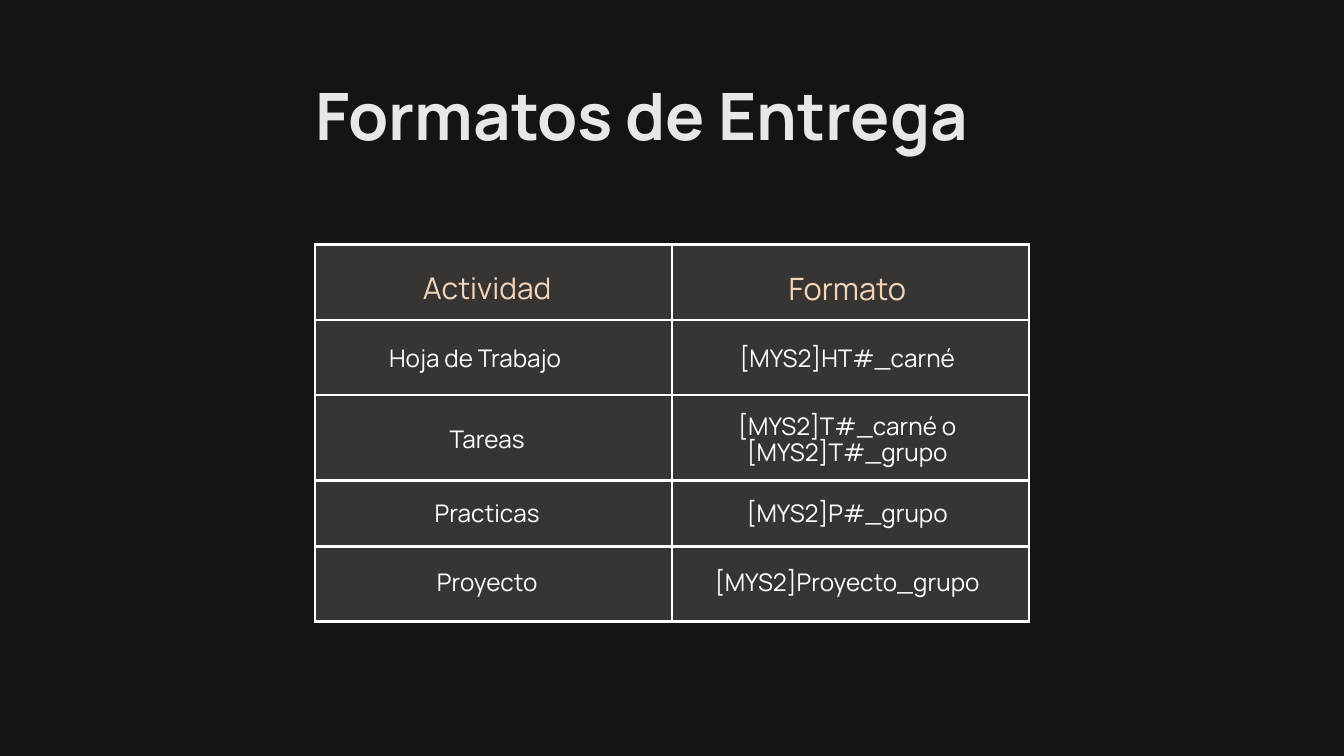
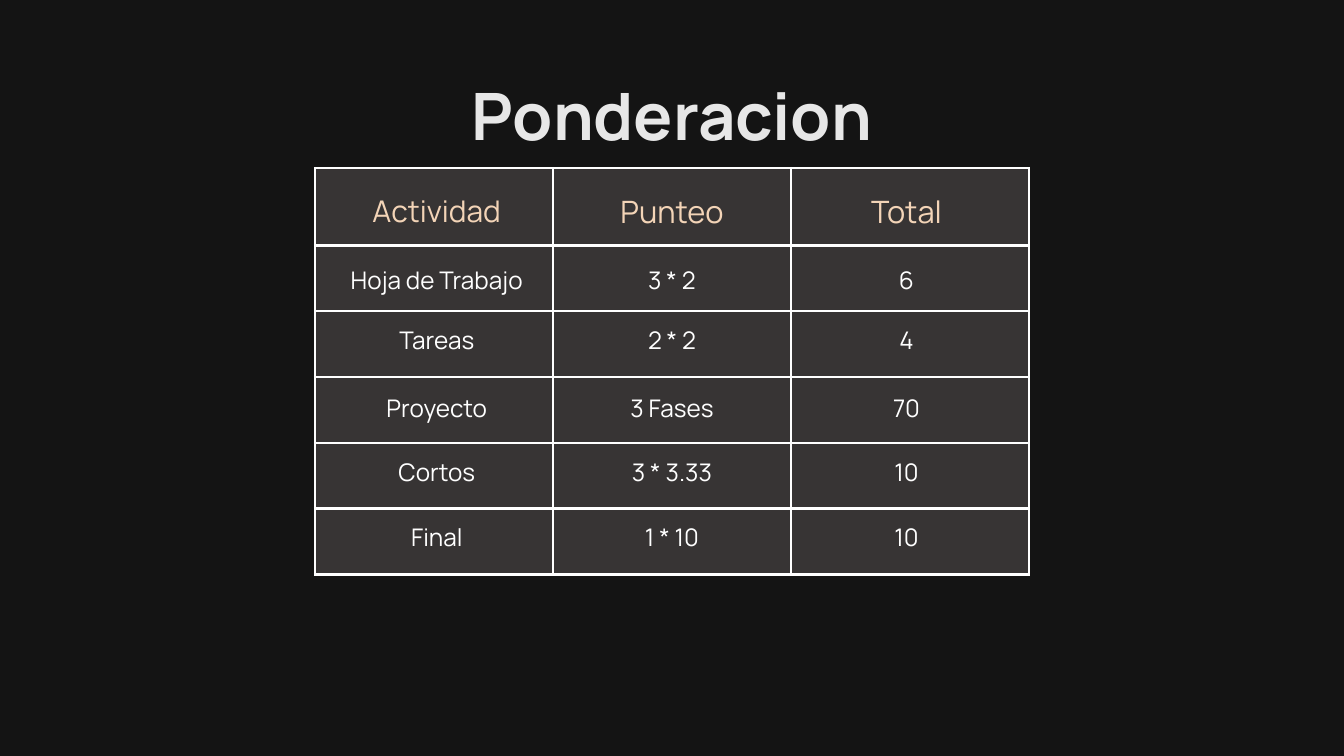
import pptx
import pptx.util
import pptx.dml.color
import pptx.enum.text
import pptx.oxml
import pptx.oxml.ns

Inches, Pt = pptx.util.Inches, pptx.util.Pt
Align = pptx.enum.text.PP_ALIGN
COLORS = {"back": "141414", "cell": "373434", "title": "E7E7E7", "head": "F3D4B7", "body": "FFFFFF"}
LEFT, WIDTH = 4.69, 10.62

SLIDES = [
    {
        "title": "Formatos de Entrega", "align": Align.LEFT,
        "top": 3.64, "rows": [1.12, 1.12, 1.27, 0.98, 1.12],
        "cols": [(7.25, 2.92), (12.61, 3.66)],
        "lines": [3.92, 5.14, 6.35, 7.45, 8.47],
        "text": [
            ["Actividad", "Formato"],
            ["Hoja de Trabajo", "[MYS2]HT#_carné"],
            ["Tareas", "[MYS2]T#_carné o\n[MYS2]T#_grupo"],
            ["Practicas", "[MYS2]P#_grupo"],
            ["Proyecto", "[MYS2]Proyecto_grupo"],
        ],
        "left": ["Hoja de Trabajo"],
    },
    {
        "title": "Ponderacion", "align": Align.CENTER,
        "top": 2.5, "rows": [1.15] + [0.98] * 5,
        "cols": [(6.5, 2.92), (10, 2.92), (13.49, 2.92)],
        "lines": [2.78, 3.99, 4.88, 5.89, 6.84, 7.8],
        "text": [
            ["Actividad", "Punteo", "Total"],
            ["Hoja de Trabajo", "3 * 2", "6"],
            ["Tareas", "2 * 2", "4"],
            ["Proyecto", "3 Fases", "70"],
            ["Cortos", "3 * 3.33", "10"],
            ["Final", "1 * 10", "10"],
        ],
        "left": [],
    },
]


def paint(fill, name):
    fill.solid()
    fill.fore_color.rgb = pptx.dml.color.RGBColor.from_string(COLORS[name])


def write(shape, text, box, size, color, space, align=Align.CENTER, bold=False):
    shape.left, shape.top, shape.width, shape.height = map(Inches, box)
    frame = shape.text_frame
    frame.margin_left = frame.margin_top = frame.margin_right = frame.margin_bottom = 0
    frame.word_wrap = True
    frame.auto_size = pptx.enum.text.MSO_AUTO_SIZE.SHAPE_TO_FIT_TEXT
    frame.vertical_anchor = pptx.enum.text.MSO_ANCHOR.TOP
    frame.text = text
    for para in frame.paragraphs:
        para.alignment = align
        para.line_spacing = Pt(space)
        para.space_before = Pt(0)
        para.font.name = "Manrope"
        para.font.size = Pt(size)
        para.font.bold = bold
        paint(para.font.fill, color)


deck = pptx.Presentation()
deck.slide_width, deck.slide_height = Inches(20), Inches(11.25)
paint(deck.slide_master.background.fill, "back")

for page in SLIDES:
    slide = deck.slides.add_slide(deck.slide_layouts[5])
    write(slide.shapes.title, page["title"], (LEFT, 1.12, WIDTH, 1.16), 70, "title", 84,
          align=page["align"], bold=True)

    rows, cols = page["rows"], page["cols"]
    grid = slide.shapes.add_table(len(rows), len(cols), Inches(LEFT), Inches(page["top"]),
                                  Inches(WIDTH), Inches(sum(rows))).table
    for row, high in zip(grid.rows, rows):
        row.height = Inches(high)
    for col in grid.columns:
        col.width = Inches(WIDTH / len(cols))
    for cell in grid.iter_cells():
        props = cell._tc.get_or_add_tcPr()
        for side in "LRTB":
            props.append(pptx.oxml.parse_xml(
                f'<a:ln{side} {pptx.oxml.ns.nsdecls("a")} w="{Pt(3)}"><a:solidFill>'
                f'<a:srgbClr val="{COLORS["body"]}"/></a:solidFill></a:ln{side}>'))
        paint(cell.fill, "cell")

    for i, (top, words) in enumerate(zip(page["lines"], page["text"])):
        for j, ((mid, wide), word) in enumerate(zip(cols, words)):
            parts = word.split("\n")
            if i == 0:
                size, color, space = 33 if j else 32, "head", 46.2 if j else 44.8
                wide, high = 1.95 if j else 2.2, 0.62 if j else 0.6
            else:
                size, color, space = 26, "body", 28.6
                high = 0.41 * len(parts)
                if max(map(len, parts)) > 16:
                    wide = 4.84
            lift = 0.2 * (len(parts) - 1)
            align = Align.LEFT if word in page["left"] else Align.CENTER
            write(slide.shapes.add_textbox(0, 0, 0, 0), word,
                  (mid - wide / 2, top - lift, wide, high), size, color, space, align=align)

deck.save("out.pptx")
